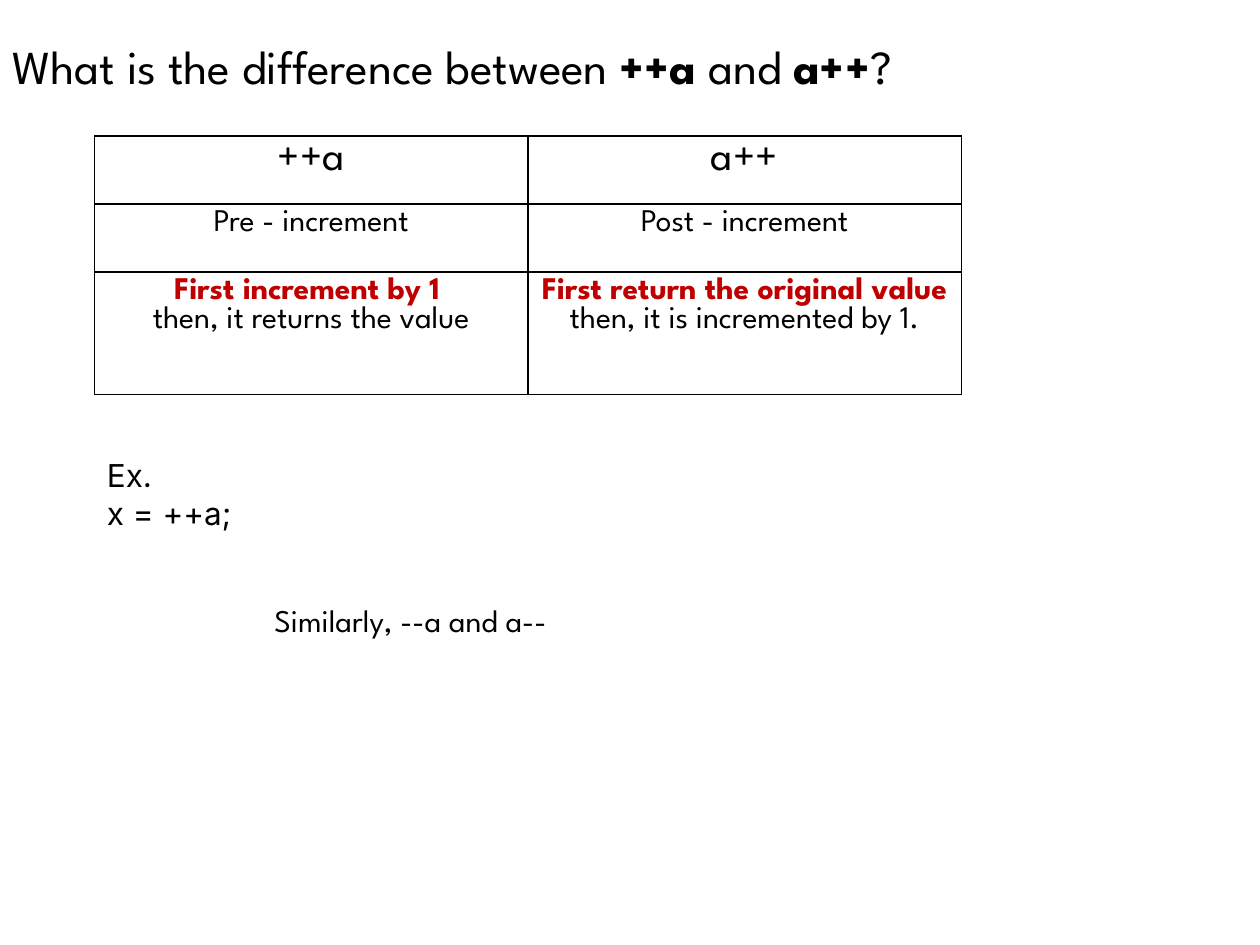
from dataclasses import dataclass

from lxml import etree
from pptx import Presentation, util as u
from pptx.enum import text
from pptx.oxml import ns

SLIDE_W, SLIDE_H = 10, 7.5
COLORS = {"ink": "000000", "accent": "C00000"}
SPARTAN, INTER = "League Spartan", "Inter"


@dataclass
class Run:
    text: str
    bold: bool = False
    color: str = "ink"


Lines = list[list[Run]]


@dataclass
class Label:
    # Position and size in inches
    left: float
    top: float
    width: float
    height: float
    size: float
    lines: Lines
    font: str = SPARTAN


@dataclass
class Row:
    height: float
    size: float
    cells: list[Lines]


def write(tf, lines: Lines, size: float, font: str, align) -> None:
    for i, line in enumerate(lines):
        p = tf.paragraphs[0] if i == 0 else tf.add_paragraph()
        p.alignment = align
        for run in line:
            r = p.add_run()
            r.text = run.text
            r.font.size, r.font.name, r.font.bold = u.Pt(size), font, run.bold
            r.font.color.rgb = rgb(run.color)


def rgb(name: str):
    return RGBColor.from_string(COLORS[name])


def add_label(slide, label: Label) -> None:
    box = map(u.Inches, (label.left, label.top, label.width, label.height))
    tf = slide.shapes.add_textbox(*box).text_frame
    tf.word_wrap = True
    tf.auto_size = text.MSO_AUTO_SIZE.SHAPE_TO_FIT_TEXT
    write(tf, label.lines, label.size, label.font, text.PP_ALIGN.LEFT)


def add_borders(cell, points: float) -> None:
    tc_pr = cell._tc.get_or_add_tcPr()
    for i, side in enumerate(("lnL", "lnR", "lnT", "lnB")):
        ln = etree.Element(ns.qn(f"a:{side}"), w=str(u.Pt(points)))
        fill = etree.SubElement(ln, ns.qn("a:solidFill"))
        etree.SubElement(fill, ns.qn("a:srgbClr"), val=COLORS["ink"])
        tc_pr.insert(i, ln)


def add_comparison(slide, left: float, top: float, col_w: float, rows: list[Row]) -> None:
    n_cols = len(rows[0].cells)
    height = sum(row.height for row in rows)
    table = slide.shapes.add_table(
        len(rows), n_cols, u.Inches(left), u.Inches(top),
        u.Inches(col_w * n_cols), u.Inches(height)).table
    table.first_row = table.horz_banding = False
    for col in table.columns:
        col.width = u.Inches(col_w)
    for i, row in enumerate(rows):
        table.rows[i].height = u.Inches(row.height)
        for j, lines in enumerate(row.cells):
            cell = table.cell(i, j)
            cell.fill.background()
            cell.margin_left = cell.margin_right = u.Inches(0.07)
            cell.margin_top = cell.margin_bottom = u.Inches(0.04)
            write(cell.text_frame, lines, row.size, SPARTAN, text.PP_ALIGN.CENTER)
            add_borders(cell, 1)


from pptx.dml.color import RGBColor

MARGIN = 0.075 * SLIDE_W

# Title, example and closing remark
TITLE = Label(0, 0.25, 9.07, 0.56, 27, [[
    Run("What is the difference between "), Run("++a", True),
    Run(" and "), Run("a++", True), Run("?")]])
REMARK = Label(2.08, 4.72, 3.12, 0.4, 18, [[Run("Similarly, --a and a--")]])
EXAMPLE = Label(MARGIN, 3.57, 5.07, 1.01, 18,
                [[Run("Ex.")], [Run("x = ++a;")]], INTER)

# Comparison table
ROWS = [
    Row(0.54, 24, [[[Run("++a")]], [[Run("a++")]]]),
    Row(0.54, 18, [[[Run("Pre - increment")]], [[Run("Post - increment")]]]),
    Row(0.97, 18, [
        [[Run("First increment by 1 ", True, "accent")],
         [Run("then, it returns the value")]],
        [[Run("First return the original value ", True, "accent"),
          Run("then, it is incremented by 1.")]],
    ]),
]


def main() -> None:
    prs = Presentation()
    prs.slide_width, prs.slide_height = u.Inches(SLIDE_W), u.Inches(SLIDE_H)
    s = prs.slides.add_slide(prs.slide_layouts[6])
    add_label(s, TITLE)
    add_comparison(s, MARGIN, 1.08, 3.44, ROWS)
    for label in (REMARK, EXAMPLE):
        add_label(s, label)
    prs.save("out.pptx")


if __name__ == "__main__":
    main()
